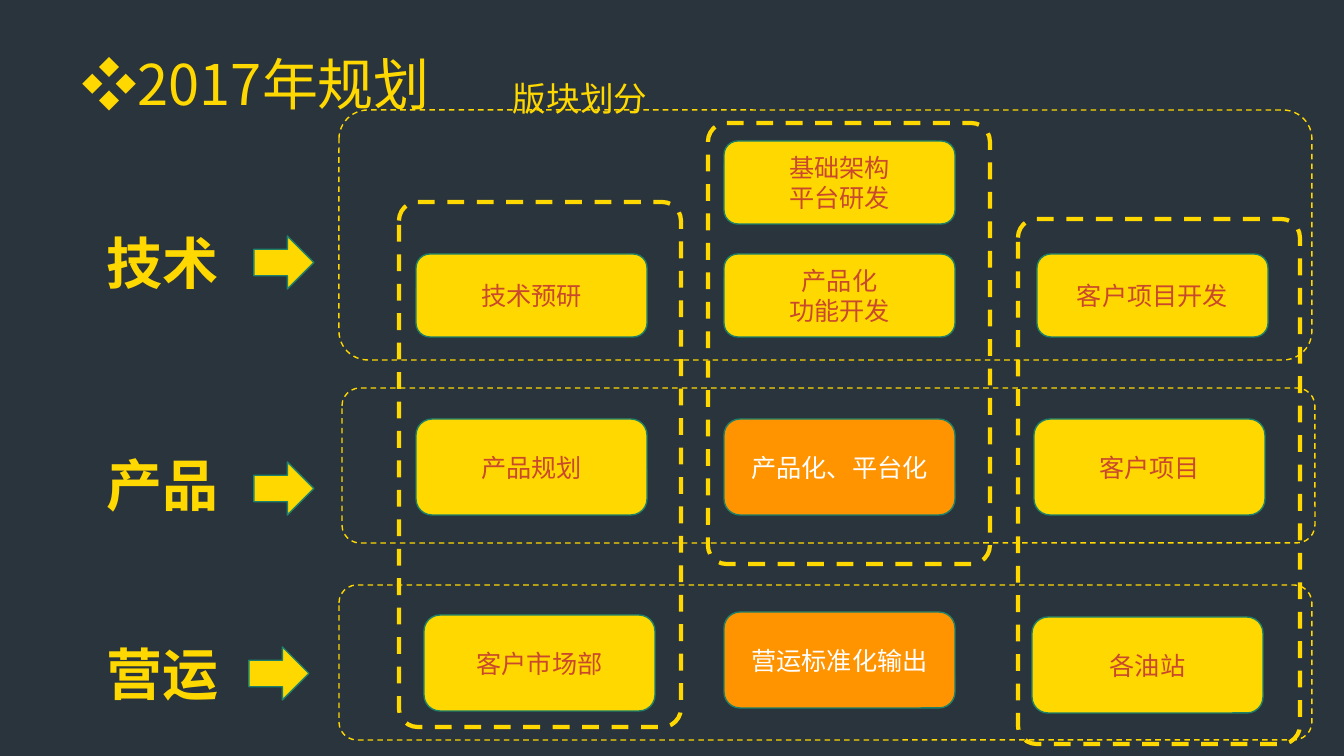
from pptx import Presentation
from pptx.dml.color import RGBColor
from pptx.enum.dml import MSO_LINE
from pptx.enum.shapes import MSO_SHAPE
from pptx.enum.text import MSO_ANCHOR, PP_ALIGN
from pptx.oxml.ns import qn
from pptx.util import Pt
from lxml.etree import SubElement

NIGHT = RGBColor(0x2A, 0x34, 0x3D)
YELLOW = RGBColor(0xFF, 0xD8, 0x00)
ORANGE = RGBColor(0xFF, 0x93, 0x00)
GREEN = RGBColor(0x1E, 0x81, 0x68)
RUST = RGBColor(0xC9, 0x49, 0x2C)
WHITE = RGBColor(0xFF, 0xFF, 0xFF)
FONT = "Noto Sans CJK SC"

BOX_WIDTH, BAND_WIDTH, FRAME_WIDTH = 231, 973, 282
BANDS = [(339, 110, 250), (342, 388, 155), (339, 585, 155)]
FRAMES = [(399, 202, 525), (708, 123, 441), (1018, 219, 525)]
ROWS = [("技术", 224, 254, 236), ("产品", 446, 254, 462), ("营运", 635, 249, 647)]
BOXES = [
    (724, 141, 83, "基础架构\n平台研发"),
    (724, 254, 83, "产品化\n功能开发"),
    (1037, 254, 83, "客户项目开发"),
    (416, 254, 83, "技术预研"),
    (1034, 419, 96, "客户项目"),
    (416, 419, 96, "产品规划"),
    (424, 615, 96, "客户市场部"),
    (1032, 617, 96, "各油站"),
]
GOALS = [(419, "产品化、平台化"), (612, "营运标准化输出")]


def px(length):
    """Turn pixels into EMU."""
    return round(length * 914400 / 100.8)


def write(frame, text, size=18, color=YELLOW, bold=False, align=PP_ALIGN.LEFT):
    """Fill a text frame, one paragraph for each line of text."""
    for index, line in enumerate(text.split("\n")):
        para = frame.add_paragraph() if index else frame.paragraphs[0]
        para.alignment = align
        span = para.add_run()
        span.text = line
        span.font.size = Pt(size)
        span.font.bold = bold
        span.font.color.rgb = color
        span.font.name = FONT
        SubElement(span.font._element, qn("a:ea")).set("typeface", FONT)


class Board:
    """Draws the elements of the plan on one slide."""

    def __init__(self, page):
        """Keep the page and paint its background."""
        self.page = page
        page.background.fill.solid()
        page.background.fill.fore_color.rgb = NIGHT

    def shape(self, kind, left, top, width, height, fill=None, line=GREEN, weight=1):
        """Add a preset shape, hollow if it has no fill."""
        shape = self.page.shapes.add_shape(kind, *map(px, (left, top, width, height)))
        shape.shadow.inherit = False
        if fill is None:
            shape.fill.background()
        else:
            shape.fill.solid()
            shape.fill.fore_color.rgb = fill
        shape.line.color.rgb = line
        shape.line.width = Pt(weight)
        return shape

    def outline(self, left, top, width, height, rounding, weight):
        """Add a dashed rounded outline."""
        shape = self.shape(MSO_SHAPE.ROUNDED_RECTANGLE, left, top, width, height,
                           line=YELLOW, weight=weight)
        shape.adjustments[0] = rounding
        shape.line.dash_style = MSO_LINE.DASH

    def box(self, left, top, height, text, fill=YELLOW, color=RUST):
        """Add a rounded box with centred text."""
        box = self.shape(MSO_SHAPE.ROUNDED_RECTANGLE, left, top, BOX_WIDTH, height, fill)
        box.text_frame.vertical_anchor = MSO_ANCHOR.MIDDLE
        write(box.text_frame, text, color=color, align=PP_ALIGN.CENTER)

    def arrow(self, left, top):
        """Add an arrow that points at a band."""
        self.shape(MSO_SHAPE.RIGHT_ARROW, left, top, 60, 53, YELLOW)

    def label(self, left, top, width, height, text, wrap=False, **style):
        """Add free text."""
        box = self.page.shapes.add_textbox(*map(px, (left, top, width, height)))
        box.text_frame.word_wrap = wrap
        write(box.text_frame, text, **style)


def main():
    """Build the slide and save it."""
    deck = Presentation()
    deck.slide_width, deck.slide_height = px(1344), px(756)
    board = Board(deck.slides.add_slide(deck.slide_layouts[6]))
    for left, top, height in BANDS:
        board.outline(left, top, BAND_WIDTH, height, rounding=0.116, weight=1)
    for left, top, height, text in BOXES:
        board.box(left, top, height, text)
    for top, text in GOALS:
        board.box(724, top, 96, text, fill=ORANGE, color=WHITE)
    board.label(72, 45, 370, 78, "❖2017年规划", wrap=True, size=40)
    board.label(503, 73, 156, 50, "版块划分", size=24)
    for text, top, arrow_left, arrow_top in ROWS:
        board.label(97, top, 133, 78, text, size=40, bold=True)
        board.arrow(arrow_left, arrow_top)
    for left, top, height in FRAMES:
        board.outline(left, top, FRAME_WIDTH, height, rounding=0.066, weight=3)
    deck.save("out.pptx")


if __name__ == "__main__":
    main()
